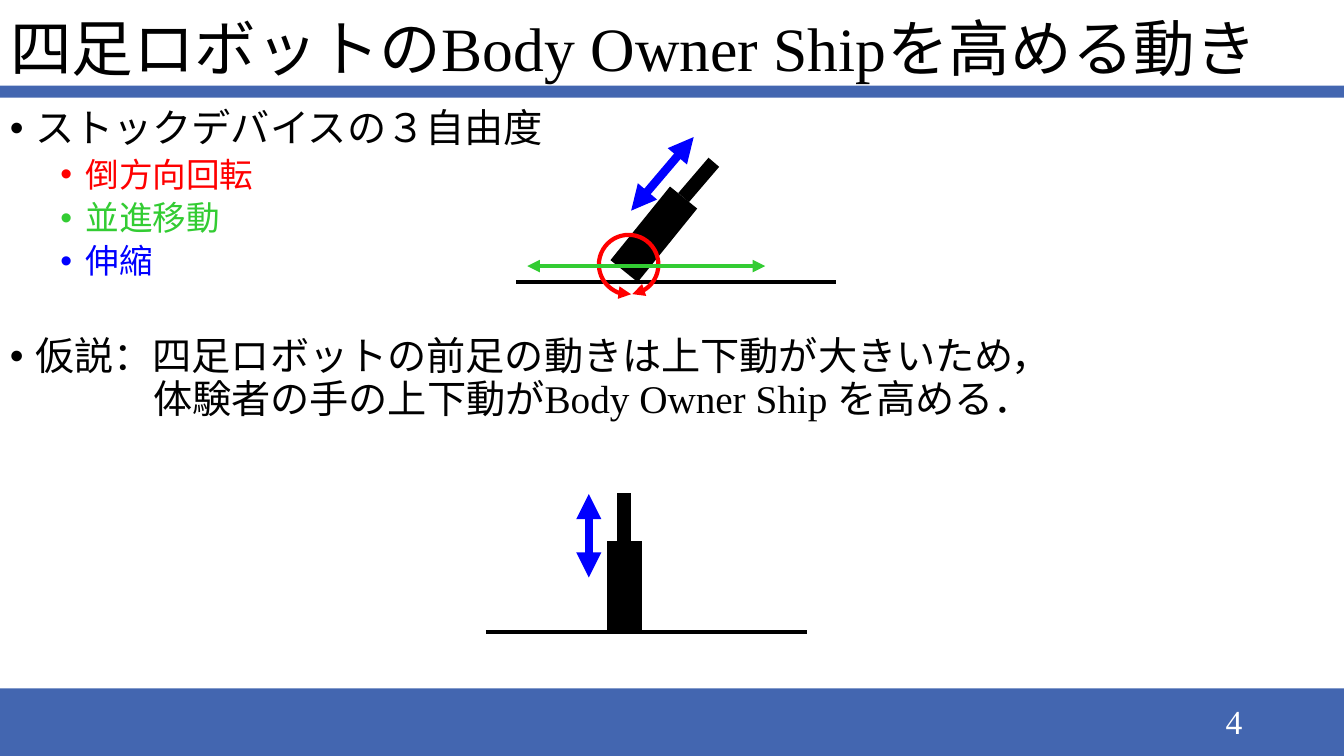
import pptx
import pptx.dml.color
import pptx.enum.shapes
import pptx.enum.text
import pptx.oxml.ns
import pptx.util
from lxml import etree

Inches = pptx.util.Inches
Pt = pptx.util.Pt
FONT = "Times New Roman"
BLACK, WHITE, BAND = "000000", "FFFFFF", "4366B0"
RED, GREEN, BLUE = "FF0000", "33CC33", "0000FF"


def rgb(value):
    """Turn a hex string into a colour."""
    return pptx.dml.color.RGBColor.from_string(value)


def sub(parent, tag, **attrs):
    """Append a DrawingML element to parent."""
    return etree.SubElement(parent, pptx.oxml.ns.qn(tag), attrs)


def format_paragraph(p, size, color):
    """Set the font of every run in a paragraph."""
    for r in p.runs:
        r.font.name = FONT
        r.font.size = Pt(size)
        r.font.color.rgb = rgb(color)


def style_line(line, color, width, arrows):
    """Set colour and width, with arrowheads at both ends if wanted."""
    line.color.rgb = rgb(color)
    line.width = Pt(width)
    if arrows:
        ln = line._get_or_add_ln()
        sub(ln, "a:headEnd", type="triangle")
        sub(ln, "a:tailEnd", type="triangle")


def add_line(s, start, end, color, width, arrows=False):
    """Draw a straight line between two points."""
    sp = s.shapes.add_connector(
        pptx.enum.shapes.MSO_CONNECTOR.STRAIGHT,
        *(Inches(v) for v in start + end))
    style_line(sp.line, color, width, arrows)
    sub(sp._element.spPr, "a:effectLst")


def add_band(s, top, height):
    """Draw a coloured band across the slide."""
    sp = s.shapes.add_shape(
        pptx.enum.shapes.MSO_SHAPE.RECTANGLE,
        0, Inches(top), Inches(13.33), Inches(height))
    sp.shadow.inherit = False
    sp.fill.solid()
    sp.fill.fore_color.rgb = rgb(BAND)
    sp.line.fill.background()


def add_rotation_arc(s, left, top, size):
    """Draw the nearly closed circle that shows the rotation."""
    sp = s.shapes.add_shape(
        pptx.enum.shapes.MSO_SHAPE.ARC,
        Inches(left), Inches(top), Inches(size), Inches(size))
    sp.shadow.inherit = False
    sp.fill.background()
    sp.adjustments[0] = 51.15
    sp.adjustments[1] = 49.83
    style_line(sp.line, RED, 3, True)


def add_title(s, text):
    """Place and format the title."""
    sp = s.shapes.title
    sp.left, sp.top = Inches(0), Inches(0)
    sp.width, sp.height = Inches(13.33), Inches(1.03)
    tf = sp.text_frame
    tf.text = text
    tf.auto_size = pptx.enum.text.MSO_AUTO_SIZE.NONE
    tf.vertical_anchor = pptx.enum.text.MSO_ANCHOR.MIDDLE
    p = tf.paragraphs[0]
    p.alignment = pptx.enum.text.PP_ALIGN.LEFT
    p.line_spacing = 0.9
    format_paragraph(p, 44, BLACK)


def add_text_frame(s, left, top, width, height):
    """Add a wrapping text box and return its frame."""
    tf = s.shapes.add_textbox(
        Inches(left), Inches(top), Inches(width), Inches(height)).text_frame
    tf.word_wrap = True
    return tf


def add_body(s, items):
    """Write the paragraphs, bulleted where asked."""
    tf = add_text_frame(s, 0, 1.03, 13.33, 5.8)
    for i, (text, level, indent, before, size, color, bullet) in enumerate(items):
        p = tf.add_paragraph() if i else tf.paragraphs[0]
        p.text = text
        p.level = level
        p.line_spacing = 0.9
        p.space_before = Pt(before)
        format_paragraph(p, size, color)
        pPr = p._p.get_or_add_pPr()
        pPr.set("marL", str(Inches(indent)))
        pPr.set("indent", str(Inches(-0.25 if bullet else 0)))
        if bullet:
            sub(pPr, "a:buFont", typeface="Arial")
            sub(pPr, "a:buChar", char="•")
        else:
            sub(pPr, "a:buNone")


def add_slide_number(s, text):
    """Write the slide number in the bottom band."""
    tf = add_text_frame(s, 9.74, 6.95, 2.68, 0.4)
    tf.vertical_anchor = pptx.enum.text.MSO_ANCHOR.MIDDLE
    p = tf.paragraphs[0]
    p.text = text
    p.alignment = pptx.enum.text.PP_ALIGN.RIGHT
    format_paragraph(p, 24, WHITE)


def add_tilted_stick(s):
    """Draw the stick with its three degrees of freedom."""
    add_line(s, (6.19, 2.69), (6.78, 1.96), BLACK, 25)
    add_line(s, (5.12, 2.8), (8.29, 2.8), BLACK, 3)
    add_line(s, (6.78, 1.96), (7.08, 1.61), BLACK, 10)
    add_rotation_arc(s, 5.94, 2.33, 0.59)
    add_line(s, (5.23, 2.64), (7.59, 2.64), GREEN, 3, True)
    add_line(s, (6.26, 2.09), (6.88, 1.36), BLUE, 6, True)


def add_upright_stick(s):
    """Draw the stick that only moves up and down."""
    add_line(s, (6.19, 6.27), (6.19, 5.37), BLACK, 25)
    add_line(s, (4.82, 6.27), (8, 6.27), BLACK, 3)
    add_line(s, (6.19, 5.37), (6.19, 4.89), BLACK, 10)
    add_line(s, (5.84, 5.73), (5.84, 4.9), BLUE, 6, True)


def main():
    """Build and save the slide."""
    prs = pptx.Presentation()
    prs.slide_width, prs.slide_height = Inches(13.33), Inches(7.5)
    s = prs.slides.add_slide(prs.slide_layouts[5])
    add_band(s, 6.83, 0.67)
    add_band(s, 0.85, 0.12)
    add_title(s, "四足ロボットのBody Owner Shipを高める動き")
    add_body(s, [
        ("ストックデバイスの３自由度", 0, 0.25, 10, 28, BLACK, True),
        ("倒方向回転", 1, 0.75, 5, 24, RED, True),
        ("並進移動", 1, 0.75, 5, 24, GREEN, True),
        ("伸縮", 1, 0.75, 5, 24, BLUE, True),
        ("仮説：四足ロボットの前足の動きは上下動が大きいため，", 0, 0.25, 40, 28, BLACK, True),
        ("体験者の手の上下動がBody Owner Ship を高める．", 0, 1.42, 0, 28, BLACK, False),
    ])
    add_slide_number(s, "4")
    add_tilted_stick(s)
    add_upright_stick(s)
    prs.save("out.pptx")


if __name__ == "__main__":
    main()
